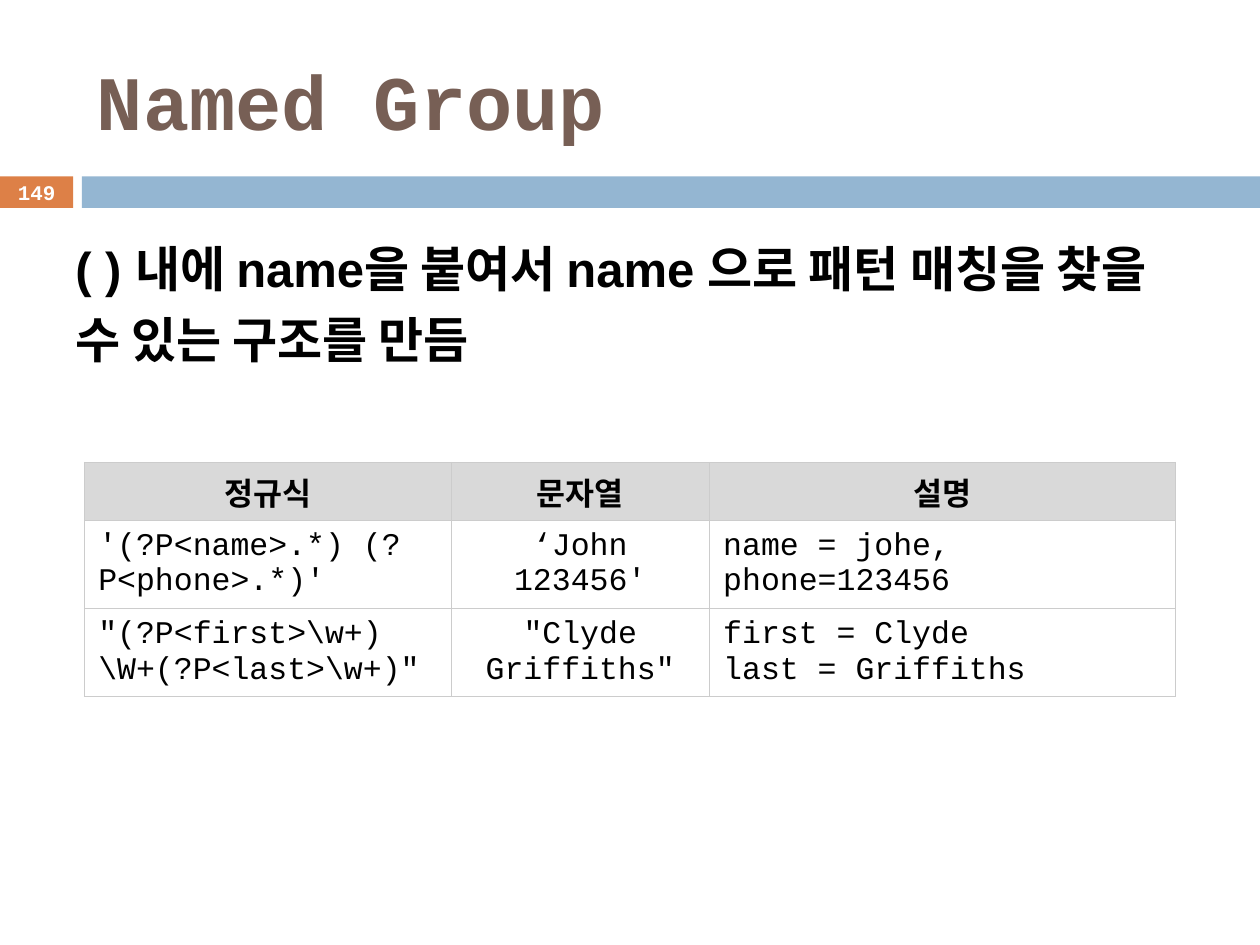
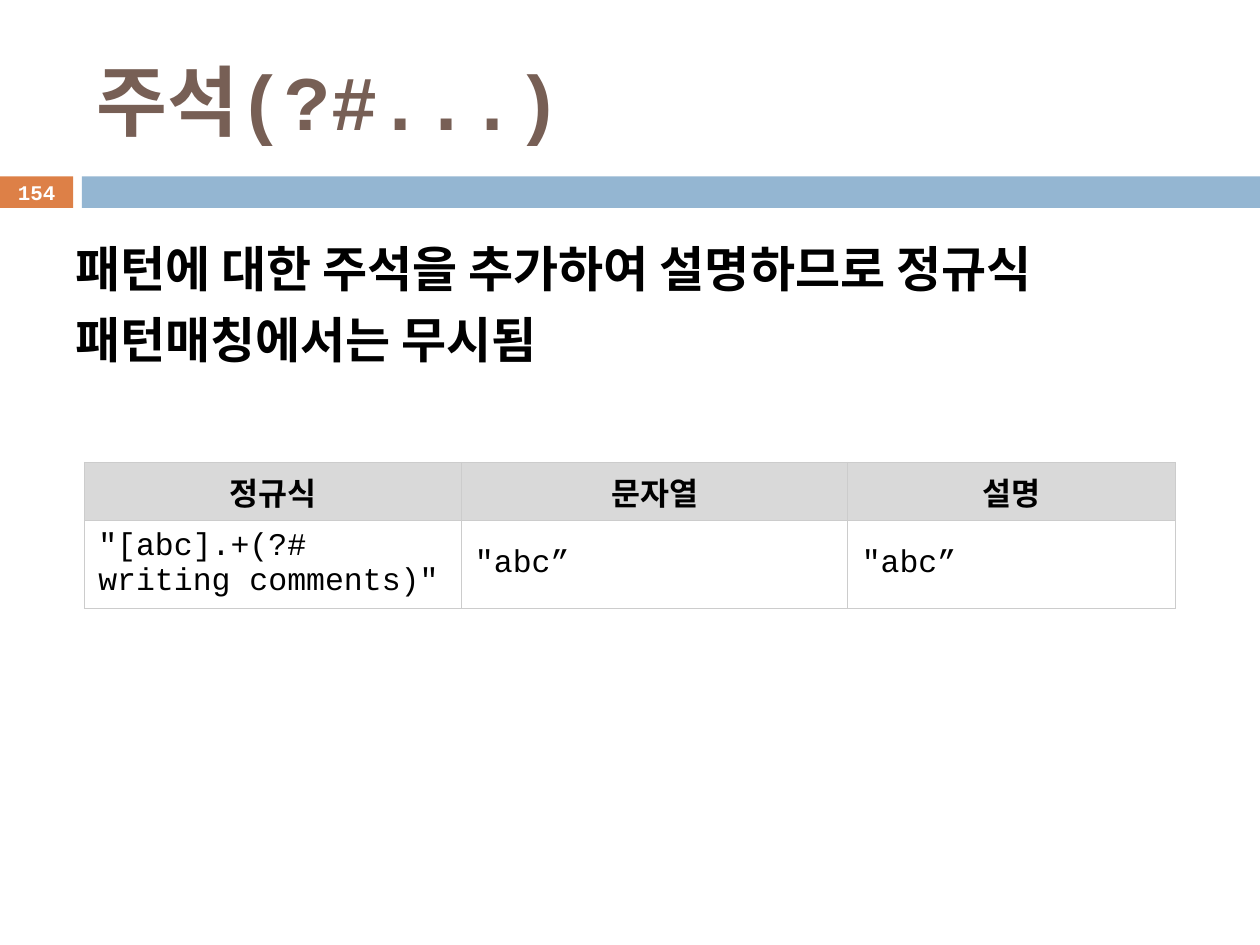
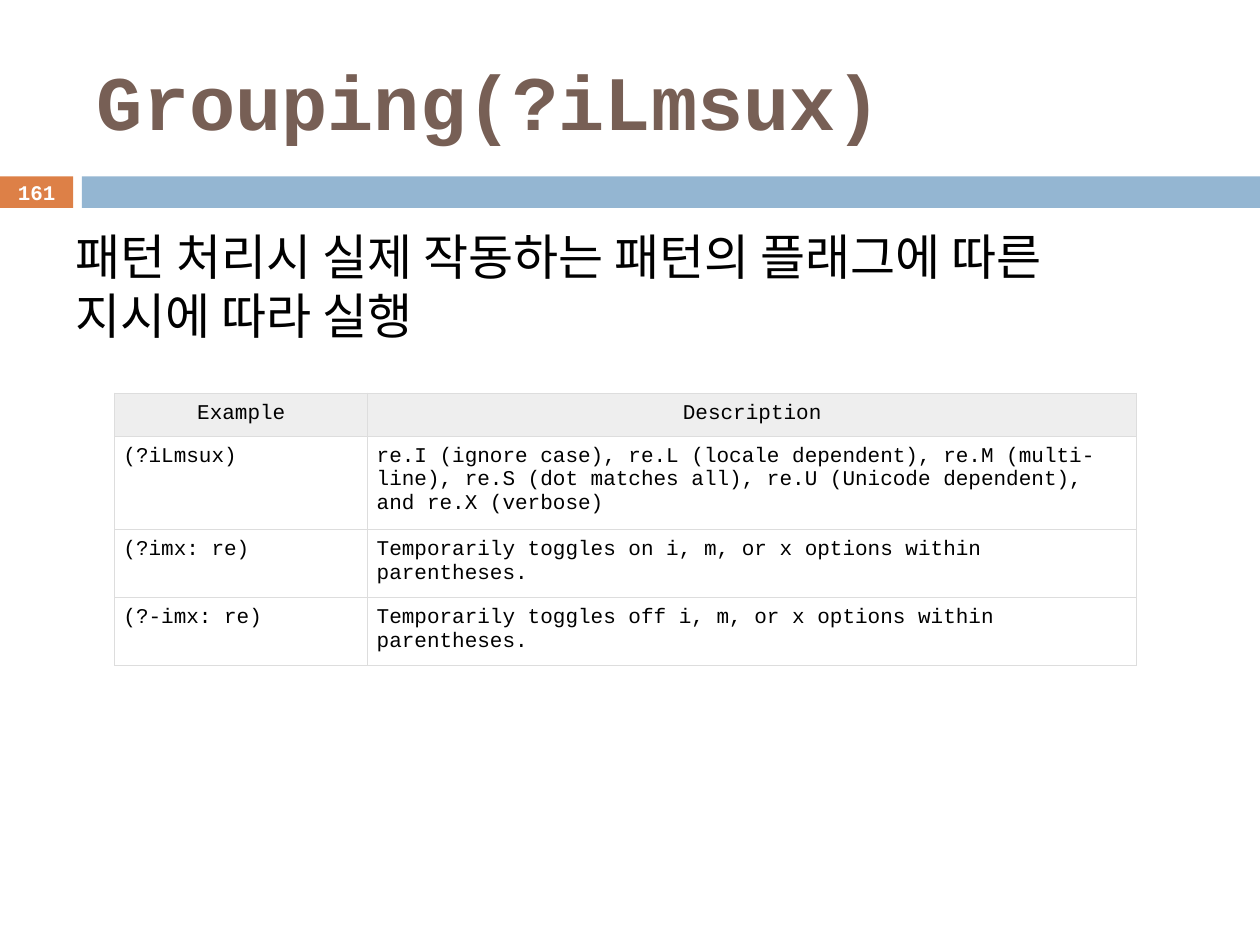
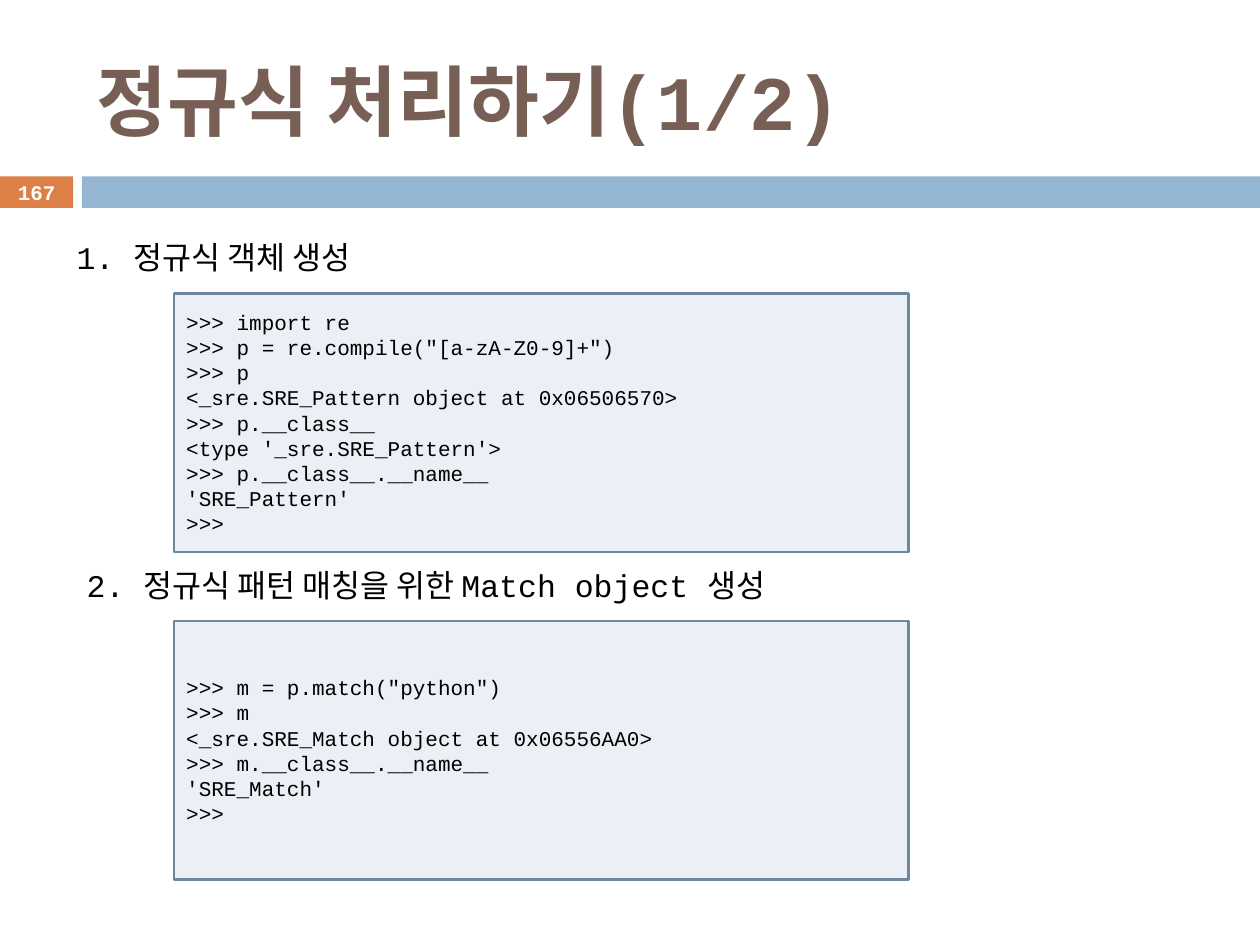
import pptx
import pptx.util
import pptx.dml.color
import pptx.enum.text
import pptx.enum.shapes
import pptx.oxml.ns
import lxml.etree

Pt = pptx.util.Pt
RGB = pptx.dml.color.RGBColor
MID = pptx.enum.text.MSO_ANCHOR.MIDDLE
TOP = pptx.enum.text.MSO_ANCHOR.TOP
LEFT = pptx.enum.text.PP_ALIGN.LEFT
MIDST = pptx.enum.text.PP_ALIGN.CENTER
RECT = pptx.enum.shapes.MSO_SHAPE.RECTANGLE

BLACK = RGB(0x00, 0x00, 0x00)
WHITE = RGB(0xFF, 0xFF, 0xFF)
BROWN = RGB(0x77, 0x5F, 0x55)
RUST = RGB(0xDD, 0x80, 0x47)
BLUE = RGB(0x94, 0xB6, 0xD2)
PALE = RGB(0xEA, 0xF0, 0xF6)
SLATE = RGB(0x6D, 0x87, 0x9B)
GRAY = RGB(0xD9, 0xD9, 0xD9)
MIST = RGB(0xEE, 0xEE, 0xEE)
MONO = "Courier New"

deck = pptx.Presentation()
deck.slide_width = pptx.util.Inches(10)
deck.slide_height = pptx.util.Inches(7.5)
unit = deck.slide_width // 100


def write(frame, text, size, bold=False, color=BLACK, align=LEFT, lead=None, font=MONO):
    frame.text = text
    for para in frame.paragraphs:
        para.alignment = align
        para.line_spacing = lead
        for run in para.runs:
            run.font.name = font
            run.font.size = Pt(size)
            run.font.bold = bold
            run.font.color.rgb = color


def block(slide, place, fill=None, line=None, anchor=TOP):
    area = [round(n * unit) for n in place]
    if fill is None:
        shape = slide.shapes.add_textbox(*area)
    else:
        shape = slide.shapes.add_shape(RECT, *area)
        shape.shadow.inherit = False
        shape.fill.solid()
        shape.fill.fore_color.rgb = fill
        if line is None:
            shape.line.fill.background()
        else:
            shape.line.color.rgb = line
            shape.line.width = Pt(1.5)
    shape.text_frame.word_wrap = True
    shape.text_frame.vertical_anchor = anchor
    return shape.text_frame


heads = ["정규식", "문자열", "설명"]
wide = dict(left=6.7, top=36.7, size=18, bold=True, head=GRAY, body=WHITE,
            edge="CCCCCC", pad=(1.1, 0.5), anchor=MID, row=4.6)
slim = dict(left=9.1, top=31.2, size=12, bold=False, head=MIST, body=None,
            edge="DDDDDD", pad=(0.7, 0.7), anchor=TOP, row=0)

make = """>>> import re
>>> p = re.compile("[a-zA-Z0-9]+")
>>> p
<_sre.SRE_Pattern object at 0x06506570>
>>> p.__class__
<type '_sre.SRE_Pattern'>
>>> p.__class__.__name__
'SRE_Pattern'
>>>"""

match = """>>> m = p.match("python")
>>> m
<_sre.SRE_Match object at 0x06556AA0>
>>> m.__class__.__name__
'SRE_Match'
>>>"""

pages = [
    dict(num="149", title="Named Group",
         texts=[((5, 17.5, 90, 16.9),
                 "( ) 내에 name을 붙여서 name 으로 패턴 매칭을 찾을 수 있는 구조를 만듬",
                 dict(size=28, bold=True, lead=1.2, font="Arial"))],
         look=wide, cols=[29.1, 20.5, 37], tall=18.6, mid=[1],
         cells=[heads,
                ["'(?P<name>.*) (?P<phone>.*)'", "‘John 123456'", "name = johe, phone=123456"],
                [r'"(?P<first>\w+)\W+(?P<last>\w+)"', '"Clyde Griffiths"',
                 "first = Clyde\nlast = Griffiths"]]),
    dict(num="154", title="주석(?#...)",
         texts=[((5, 17.5, 90, 13.7),
                 "패턴에 대한 주석을 추가하여 설명하므로 정규식 패턴매칭에서는 무시됨",
                 dict(size=28, bold=True, lead=1.2))],
         look=wide, cols=[29.9, 30.7, 26], tall=11.6, mid=[],
         cells=[heads, ['"[abc].+(?# writing comments)"', '"abc”', '"abc”']]),
    dict(num="161", title="Grouping(?iLmsux)",
         texts=[((5, 17.5, 90, 12.1),
                 "패턴 처리시 실제 작동하는 패턴의 플래그에 따른 지시에 따라 실행",
                 dict(size=28))],
         look=slim, cols=[20.1, 61], tall=15.3, mid=[],
         cells=[["Example", "Description"],
                ["(?iLmsux)", "re.I (ignore case), re.L (locale dependent), re.M (multi-line), "
                 "re.S (dot matches all), re.U (Unicode dependent), and re.X (verbose)"],
                ["(?imx: re)",
                 "Temporarily toggles on i, m, or x options within parentheses."],
                ["(?-imx: re)",
                 "Temporarily toggles off i, m, or x options within parentheses."]]),
    dict(num="167", title="정규식 처리하기(1/2)",
         texts=[((5.1, 17.8, 90, 5.5), "1. 정규식 객체 생성", dict(size=18, lead=1.2)),
                ((5.9, 43.8, 90, 5.5), "2. 정규식 패턴 매칭을 위한 Match object 생성",
                 dict(size=18, lead=1.2))],
         codes=[(23.3, make), (49.3, match)]),
]

for page in pages:
    slide = deck.slides.add_slide(deck.slide_layouts[6])
    block(slide, (0, 14, 5.8, 2.5), RUST)
    block(slide, (6.5, 14, 93.5, 2.5), BLUE)
    frame = block(slide, (6.7, 2.5, 89.2, 10.8), anchor=MID)
    write(frame, page["title"], 44, True, BROWN)

    for place, text, style in page["texts"]:
        write(block(slide, place), text, **style)

    for top, code in page.get("codes", []):
        write(block(slide, (13.8, top, 58.3, 20.5), PALE, SLATE, MID), code, 12)

    if "cells" in page:
        look, cols, cells = page["look"], page["cols"], page["cells"]
        area = [round(n * unit) for n in (look["left"], look["top"], sum(cols), page["tall"])]
        hold = slide.shapes.add_table(len(cells), len(cols), *area)
        grid = hold.table
        grid.first_row = False
        grid.horz_banding = False
        for col, width in zip(grid.columns, cols):
            col.width = round(width * unit)
        for row in grid.rows:
            row.height = round(look["row"] * unit)
        hold.height = area[3]
        for r, line in enumerate(cells):
            for c, text in enumerate(line):
                cell = grid.cell(r, c)
                side, rim = [round(n * unit) for n in look["pad"]]
                cell.margin_left = cell.margin_right = side
                cell.margin_top = cell.margin_bottom = rim
                cell.vertical_anchor = look["anchor"]
                fill = look["body"] if r else look["head"]
                if fill is None:
                    cell.fill.background()
                else:
                    cell.fill.solid()
                    cell.fill.fore_color.rgb = fill
                align = MIDST if r == 0 or c in page["mid"] else LEFT
                write(cell.text_frame, text, look["size"], look["bold"] and r == 0, align=align)
                props = cell._tc.get_or_add_tcPr()
                for i, tag in enumerate(["a:lnL", "a:lnR", "a:lnT", "a:lnB"]):
                    edge = lxml.etree.Element(pptx.oxml.ns.qn(tag), w=str(Pt(0.6)))
                    paint = lxml.etree.SubElement(edge, pptx.oxml.ns.qn("a:solidFill"))
                    lxml.etree.SubElement(paint, pptx.oxml.ns.qn("a:srgbClr"), val=look["edge"])
                    props.insert(i, edge)

    frame = block(slide, (0, 13.9, 5.8, 2.7), anchor=MID)
    write(frame, page["num"], 11.9, True, WHITE, MIDST)

deck.save("out.pptx")
